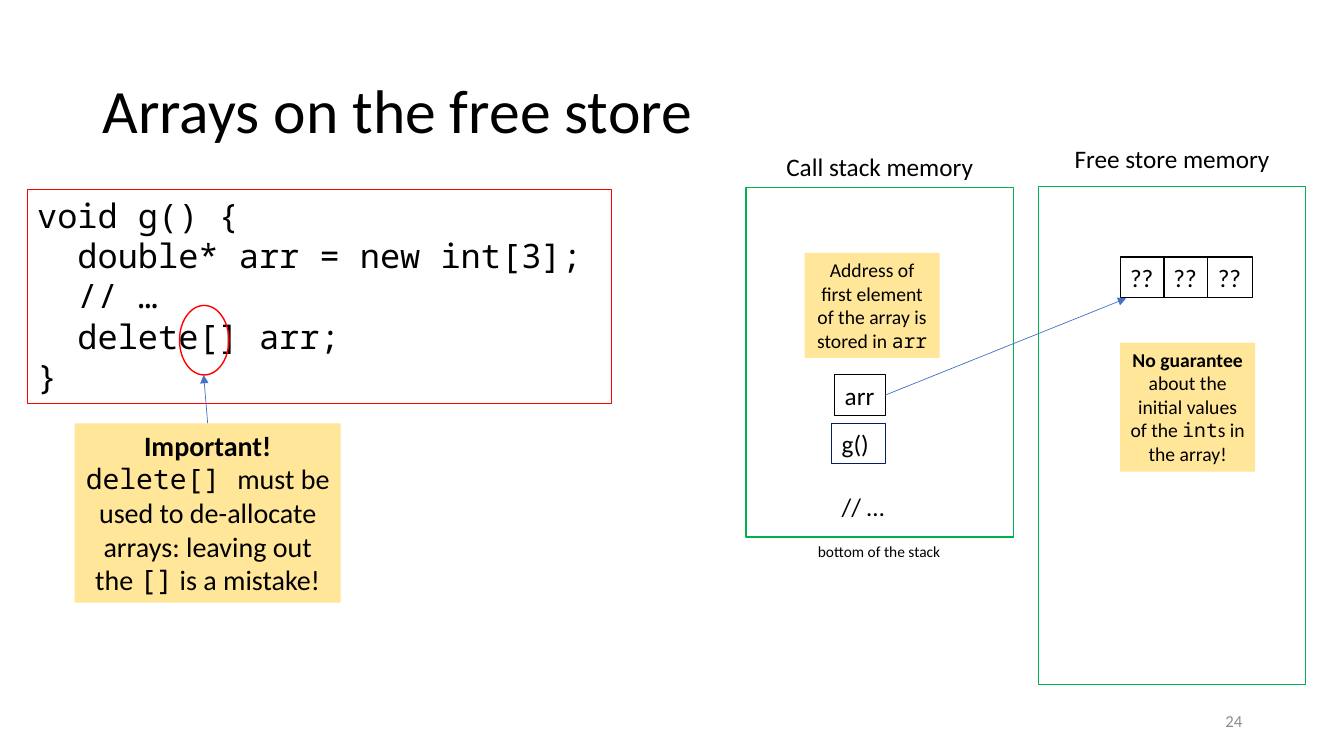
from lxml import etree
from pptx import Presentation
from pptx import util as u
from pptx.dml.color import RGBColor
from pptx.enum import shapes, text
from pptx.oxml.ns import qn

PX = 9144  # EMU per px, 100 px to the inch
COLORS = {"ink": "000000", "page": "8C8C8C", "code": "FF0000", "memory": "00B050",
          "frame": "002060", "note": "FFE699", "arrow": "4472C4"}
SANS, MONO = "Calibri", "Noto Sans Mono"
ALIGN = {"l": text.PP_ALIGN.LEFT, "c": text.PP_ALIGN.CENTER, "r": text.PP_ALIGN.RIGHT}


def color(name):
    return RGBColor.from_string(COLORS[name])


def write(frame, paragraphs, size=18, font=SANS, ink="ink", align="l",
          wrap=True, grow=True, middle=False, spacing=None):
    """Each paragraph is a string or a list of (text, font, bold) runs."""
    frame.word_wrap = wrap
    frame.auto_size = text.MSO_AUTO_SIZE.SHAPE_TO_FIT_TEXT if grow else text.MSO_AUTO_SIZE.NONE
    frame.vertical_anchor = text.MSO_ANCHOR.MIDDLE if middle else text.MSO_ANCHOR.TOP
    for index, content in enumerate(paragraphs):
        paragraph = frame.add_paragraph() if index else frame.paragraphs[0]
        paragraph.alignment = ALIGN[align]
        if spacing:
            paragraph.line_spacing = spacing
        runs = [(content, font, False)] if isinstance(content, str) else content
        for words, face, bold in runs:
            run = paragraph.add_run()
            run.text = words
            run.font.name, run.font.size, run.font.bold = face, u.Pt(size), bold
            run.font.color.rgb = color(ink)


class MemorySlide:
    def __init__(self, deck):
        self.canvas = deck.slides.add_slide(deck.slide_layouts[6]).shapes

    def label(self, box, words, **style):
        area = self.canvas.add_textbox(*[n * PX for n in box])
        write(area.text_frame, [words], **style)

    def box(self, box, line=None, weight=0.75, fill=None, paragraphs=(),
            kind=shapes.MSO_SHAPE.RECTANGLE, **style):
        shape = self.canvas.add_shape(kind, *[n * PX for n in box])
        shape.shadow.inherit = False
        if fill:
            shape.fill.solid()
            shape.fill.fore_color.rgb = color(fill)
        else:
            shape.fill.background()
        if line:
            shape.line.color.rgb = color(line)
            shape.line.width = u.Pt(weight)
        else:
            shape.line.fill.background()
        if paragraphs:
            write(shape.text_frame, paragraphs, **style)

    def note(self, box, runs, size=14):
        self.box(box, fill="note", paragraphs=[runs], size=size, align="c")

    def value(self, box, words, line="ink"):
        self.box(box, line=line, paragraphs=[words], wrap=False)

    def arrow(self, *ends):
        connector = self.canvas.add_connector(shapes.MSO_CONNECTOR.STRAIGHT,
                                              *[n * PX for n in ends])
        connector.line.color.rgb = color("arrow")
        connector.line.width = u.Pt(0.5)
        properties = connector.element.spPr
        etree.SubElement(properties.find(qn("a:ln")), qn("a:tailEnd"), type="triangle")
        etree.SubElement(properties, qn("a:effectLst"))


def main():
    deck = Presentation()
    deck.slide_width, deck.slide_height = u.Inches(13.33), u.Inches(7.5)
    slide = MemorySlide(deck)

    # Title and page number
    slide.label((92, 40, 1150, 145), "Arrays on the free store",
                size=44, grow=False, middle=True, spacing=0.9)
    slide.label((942, 695, 300, 40), "24", size=12, ink="page", align="r",
                grow=False, middle=True)

    # Code
    code = ["void g() {", "  double* arr = new int[3];", "  // …", "  delete[] arr;", "}"]
    slide.box((27, 188, 580, 212), line="code", paragraphs=code, size=24, font=MONO)

    # Memory areas
    slide.box((1030, 185, 265, 494), line="memory", weight=1)
    slide.label((1030, 137, 265, 40), "Free store memory", align="c")
    slide.box((740, 186, 265, 347), line="memory", weight=1)
    slide.label((740, 145, 265, 40), "Call stack memory", align="c")
    slide.label((740, 533, 264, 29), "bottom of the stack", size=11, align="c")

    # Call stack content
    slide.label((825, 483, 69, 40), "// …", wrap=False)
    slide.value((825, 420, 53, 40), "g()", line="frame")
    slide.value((828, 372, 50, 40), "arr")

    # Array cells on the free store
    for cell in range(3):
        slide.value((1111 + 435 * cell // 10, 255, 44, 40), "??")

    # Notes
    slide.note((74, 420, 264, 178), [
        ("Important! ", SANS, True), ("delete[] ", MONO, False),
        ("must be used to de-allocate arrays: leaving out the ", SANS, False),
        ("[]", MONO, False), (" is a mistake!", SANS, False)], size=20)
    slide.note((798, 251, 134, 104), [
        ("Address of first element of the array is stored in ", SANS, False),
        ("arr", MONO, False)])
    slide.note((1111, 340, 134, 128), [
        ("No guarantee ", SANS, True), ("about the initial values of the ", SANS, False),
        ("int", MONO, False), ("s in the array!", SANS, False)])

    # Bracket highlight and arrows
    slide.box((178, 303, 49, 69), line="code", weight=1, kind=shapes.MSO_SHAPE.OVAL)
    slide.arrow(878, 392, 1117, 296)
    slide.arrow(206, 420, 202, 372)

    deck.save("out.pptx")


if __name__ == "__main__":
    main()
